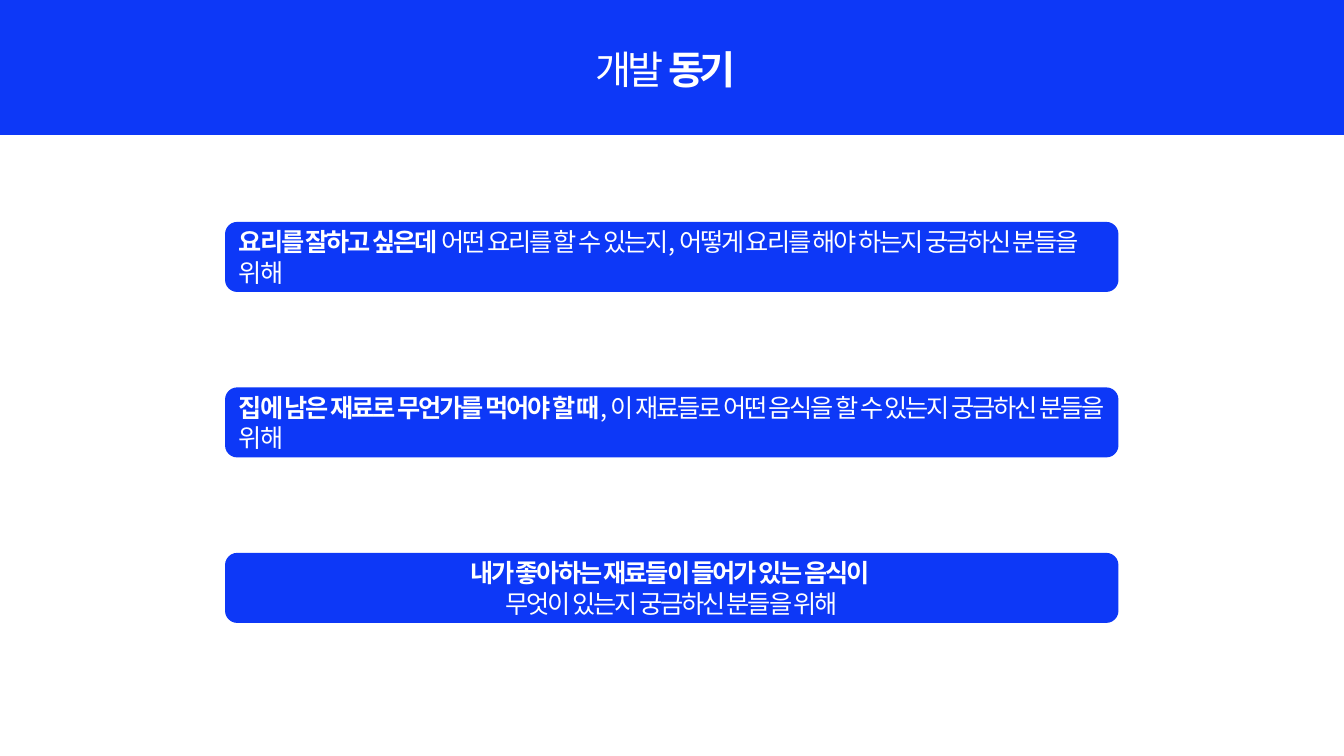
from dataclasses import dataclass

from pptx import Presentation
from pptx import util as u
from pptx.dml.color import RGBColor
from pptx.enum import shapes, text
from pptx.oxml import ns
from lxml import etree


@dataclass(frozen=True)
class Theme:
    """Colours, font and type sizes of the slide."""
    blue: RGBColor = RGBColor(0x0D, 0x38, 0xF7)
    white: RGBColor = RGBColor(0xFF, 0xFF, 0xFF)
    font: str = "Noto Sans CJK KR"
    head: float = 28
    body: float = 18
    line: float = 1
    lead: float = 1.2


THEME = Theme()
LEFT = text.PP_ALIGN.LEFT
MID = text.PP_ALIGN.CENTER
REASONS = [
    (LEFT, [[("요리를 잘하고 싶은데", True),
             (" 어떤 요리를 할 수 있는지, 어떻게 요리를 해야 하는지 궁금하신 분들을 위해", False)]]),
    (LEFT, [[("집에 남은 재료로 무언가를 먹어야 할 때", True),
             (", 이 재료들로 어떤 음식을 할 수 있는지 궁금하신 분들을 위해", False)]]),
    (MID, [[("내가 좋아하는 재료들이 들어가 있는 음식이 ", True)],
           [("무엇이 있는지 궁금하신 분들을 위해", False)]]),
]


def write(shape, paras, size, track, align=LEFT, anchor=text.MSO_ANCHOR.MIDDLE):
    """Fill a shape with paragraphs of (words, bold) runs."""
    frame = shape.text_frame
    frame.word_wrap = True
    frame.auto_size = text.MSO_AUTO_SIZE.NONE
    frame.vertical_anchor = anchor
    frame.margin_left = frame.margin_right = u.Cm(0.25)
    frame.margin_top = frame.margin_bottom = u.Cm(0.13)
    for i, runs in enumerate(paras):
        para = frame.add_paragraph() if i else frame.paragraphs[0]
        para.alignment = align
        para.line_spacing = u.Pt(size * THEME.lead)
        para.space_before = para.space_after = u.Pt(0)
        for words, bold in runs:
            run = para.add_run()
            run.text = words
            font = run.font
            font.size, font.bold, font.name = u.Pt(size), bold, THEME.font
            font.color.rgb = THEME.white
            props = run._r.get_or_add_rPr()
            props.set("spc", str(int(track * 100)))
            east = etree.SubElement(props, ns.qn("a:ea"))
            east.set("typeface", THEME.font)


def panel(slide, kind, left, top, width, height):
    """Add a plain blue shape, measured in centimetres."""
    box = slide.shapes.add_shape(kind, *map(u.Cm, (left, top, width, height)))
    box.shadow.inherit = False
    box.fill.solid()
    box.fill.fore_color.rgb = THEME.blue
    box.line.color.rgb = THEME.blue
    box.line.width = u.Pt(THEME.line)
    return box


def header(slide):
    """Lay the blue band and set the title over it."""
    band = panel(slide, shapes.MSO_SHAPE.RECTANGLE, 0, 0, 33.87, 3.39)
    title = slide.shapes.title
    band._element.addnext(title._element)
    title.left, title.top = u.Cm(14.76), u.Cm(1.02)
    title.width, title.height = u.Cm(4.37), u.Cm(1.45)
    write(title, [[("개발", False), (" 동기", True)]], THEME.head, -3,
          anchor=text.MSO_ANCHOR.TOP)


def main():
    """Build the slide and save it."""
    deck = Presentation()
    deck.slide_width, deck.slide_height = u.Cm(33.87), u.Cm(19.05)
    slide = deck.slides.add_slide(deck.slide_layouts.get_by_name("Title Only"))
    header(slide)
    for i, (align, paras) in enumerate(REASONS):
        box = panel(slide, shapes.MSO_SHAPE.ROUNDED_RECTANGLE,
                    5.69, 5.61 + 4.17 * i, 22.48, 1.73)
        write(box, paras, THEME.body, -1.5, align)
    deck.save("out.pptx")


if __name__ == "__main__":
    main()
